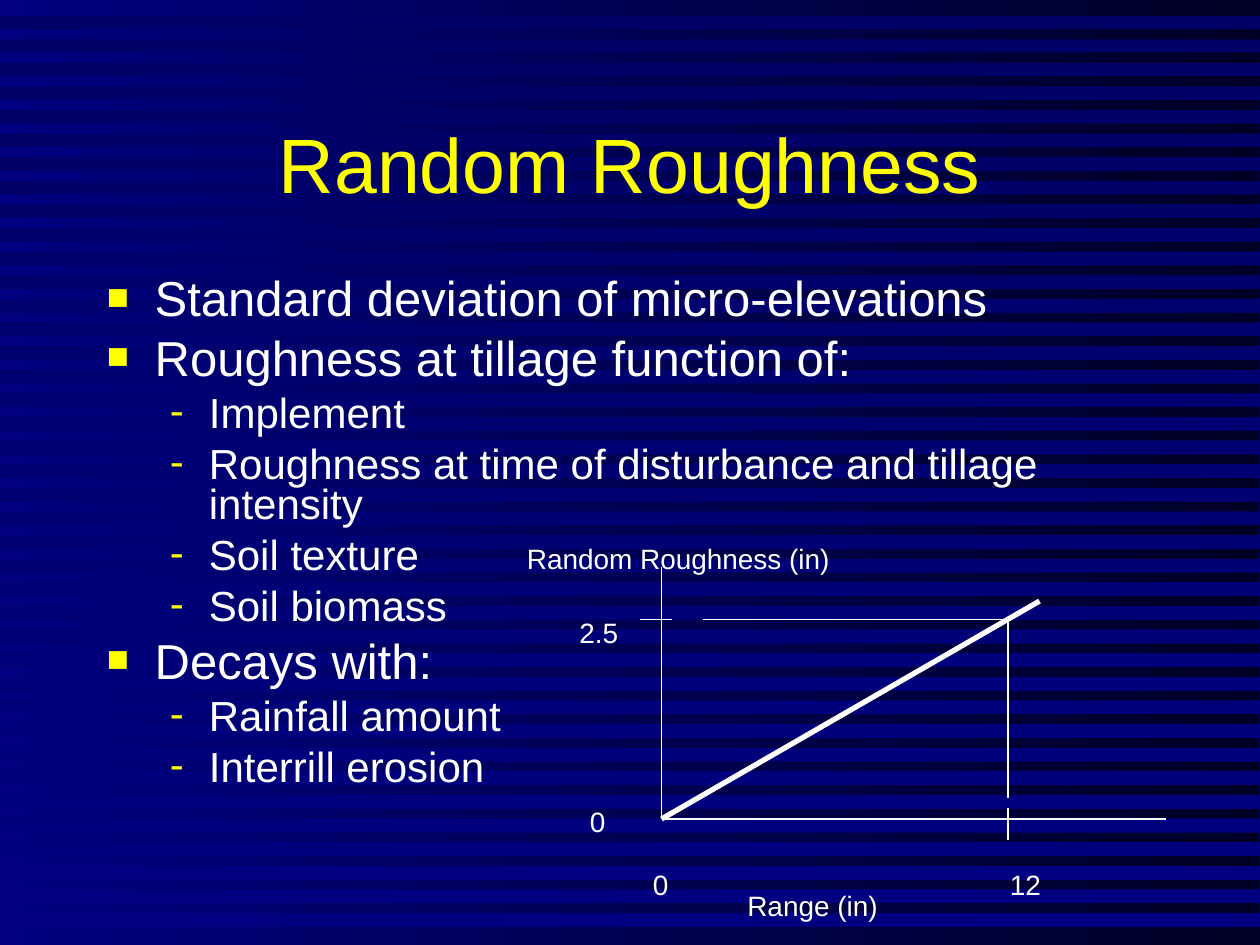
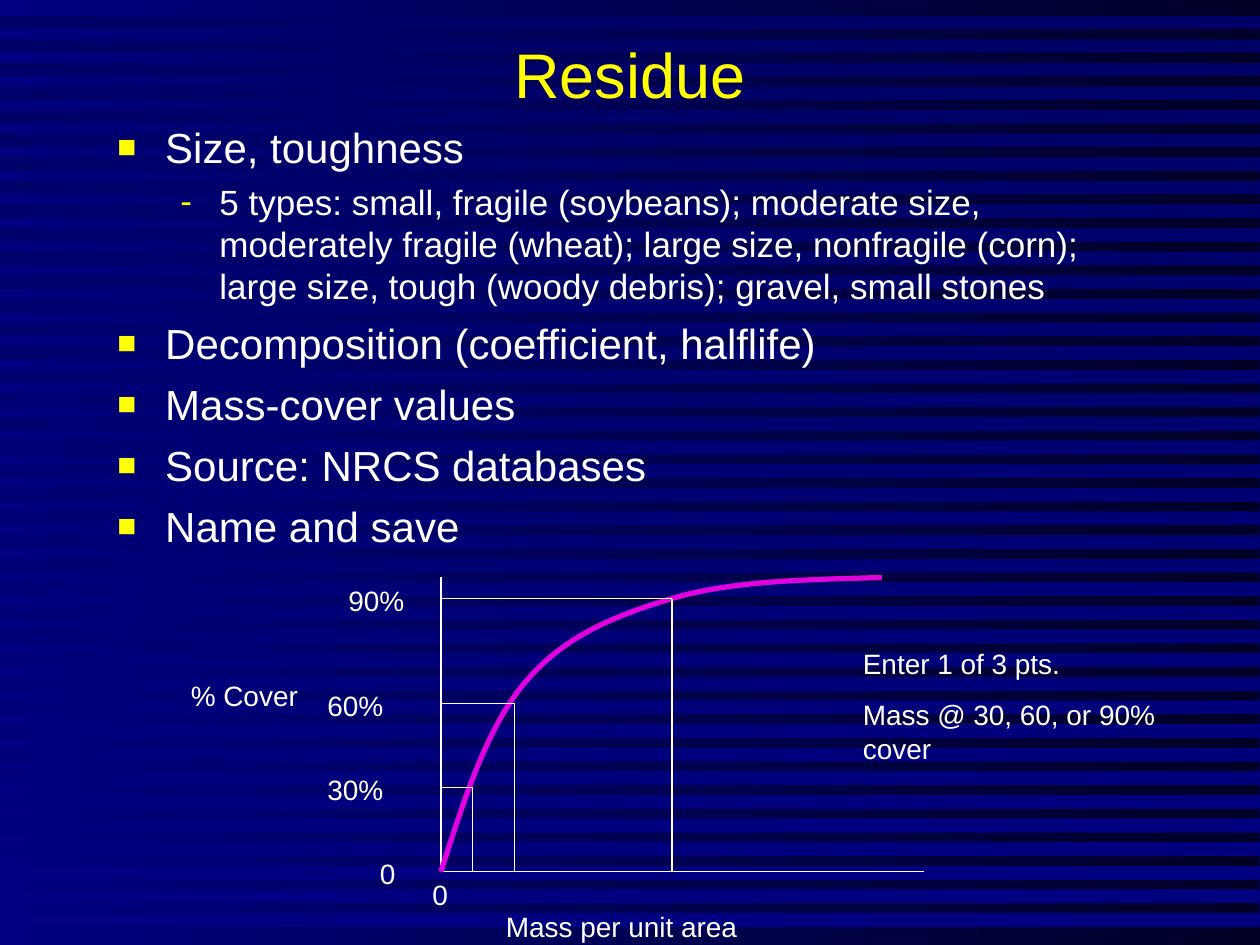
"""Build two slides on soil roughness and residue cover."""
from dataclasses import dataclass

from lxml import etree
from pptx import Presentation
from pptx import util as u
from pptx.dml.color import RGBColor
from pptx.enum import shapes, text
from pptx.oxml.ns import qn

COLUMNS, ROWS = 120, 90


@dataclass(frozen=True)
class Theme:
    """Colours, font and type sizes of the deck."""
    font: str = "Arial"
    ink: str = "FFFFFF"
    accent: str = "FFFF00"
    curve: str = "E000E0"
    night: str = "000026"
    dusk: str = "000066"
    blue: str = "000080"
    label: int = 16
    label_gap: int = 10
    thin: int = 1
    thick: int = 3
    bullets: tuple = (("■", 75, 0.38, -0.38), ("-", 100, 0.81, -0.31))


class Deck:
    """Draw styled elements on the current slide, in grid columns and rows."""

    def __init__(self, theme):
        self.theme = theme
        self.show = Presentation()
        self.show.slide_width, self.show.slide_height = u.Inches(10), u.Inches(7.5)
        self.slide = None

    def col(self, count):
        return round(self.show.slide_width * count / COLUMNS)

    def row(self, count):
        return round(self.show.slide_height * count / ROWS)

    def box(self, left, top, width, height):
        return self.col(left), self.row(top), self.col(width), self.row(height)

    def gradient(self, fill, start, end, angle):
        fill.gradient()
        fill.gradient_angle = angle
        for stop, color in zip(fill.gradient_stops, (start, end)):
            stop.color.rgb = RGBColor.from_string(color)

    def outline(self, points, close):
        spots = [(self.col(x), self.row(y)) for x, y in points]
        builder = self.slide.shapes.build_freeform(*spots[0])
        builder.add_line_segments(spots[1:], close=close)
        shape = builder.convert_to_shape()
        shape.shadow.inherit = False
        return shape

    def stroke(self, line, color, weight):
        line.color.rgb = RGBColor.from_string(color)
        line.width = u.Pt(weight)

    def new_slide(self):
        t = self.theme
        self.slide = self.show.slides.add_slide(self.show.slide_layouts[6])
        self.gradient(self.slide.background.fill, t.dusk, t.blue, 270)
        backdrop = self.slide.shapes.add_shape(
            shapes.MSO_SHAPE.RECTANGLE, *self.box(0, 0, COLUMNS, ROWS))
        backdrop.shadow.inherit = False
        backdrop.line.fill.background()
        self.gradient(backdrop.fill, t.night, t.blue, 180)
        tops = [1.5 + 2.25 * band for band in range(39)]
        stripes = self.outline(
            [spot for top in tops for spot in (
                (COLUMNS, top), (0, top), (0, top + 1.25), (COLUMNS, top + 1.25))],
            close=True)
        stripes.line.fill.background()
        self.gradient(stripes.fill, t.dusk, t.blue, 270)

    def frame(self, left, top, width, height):
        frame = self.slide.shapes.add_textbox(
            *self.box(left, top, width, height)).text_frame
        frame.word_wrap = True
        return frame

    def paragraph(self, frame, index, words, size, color):
        paragraph = frame.add_paragraph() if index else frame.paragraphs[0]
        run = paragraph.add_run()
        run.text = words
        run.font.name, run.font.size = self.theme.font, u.Pt(size)
        run.font.color.rgb = RGBColor.from_string(color)
        return paragraph

    def title(self, words, top, height, size):
        frame = self.frame(9, top, 102, height)
        frame.vertical_anchor = text.MSO_ANCHOR.MIDDLE
        heading = self.paragraph(frame, 0, words, size, self.theme.accent)
        heading.alignment = text.PP_ALIGN.CENTER

    def bullet(self, paragraph, level):
        mark, share, margin, indent = self.theme.bullets[level]
        props = paragraph._p.get_or_add_pPr()
        props.set("marL", str(u.Inches(margin)))
        props.set("indent", str(u.Inches(indent)))
        tint = etree.SubElement(props, qn("a:buClr"))
        etree.SubElement(tint, qn("a:srgbClr"), val=self.theme.accent)
        etree.SubElement(props, qn("a:buSzPct"), val=str(share * 1000))
        etree.SubElement(props, qn("a:buFont"), typeface=self.theme.font)
        etree.SubElement(props, qn("a:buChar"), char=mark)
        paragraph.level = level

    def body(self, items, left, top, sizes, gaps, spacing):
        frame = self.frame(left, top, 102, 54)
        for index, (level, words) in enumerate(items):
            point = self.paragraph(frame, index, words, sizes[level], self.theme.ink)
            self.bullet(point, level)
            point.line_spacing = spacing
            if index:
                point.space_before = u.Pt(gaps[level])

    def label(self, left, top, width, *lines):
        frame = self.frame(left, top, width, 4.4)
        frame.auto_size = text.MSO_AUTO_SIZE.SHAPE_TO_FIT_TEXT
        for index, words in enumerate(lines):
            line = self.paragraph(frame, index, words, self.theme.label, self.theme.ink)
            if index:
                line.space_before = u.Pt(self.theme.label_gap)

    def line(self, x1, y1, x2, y2, weight=None):
        line = self.slide.shapes.add_connector(
            shapes.MSO_CONNECTOR.STRAIGHT,
            self.col(x1), self.row(y1), self.col(x2), self.row(y2))
        self.stroke(line.line, self.theme.ink, weight or self.theme.thin)
        etree.SubElement(line._element.spPr, qn("a:effectLst"))

    def curve(self, points):
        shape = self.outline(points, close=False)
        shape.fill.background()
        self.stroke(shape.line, self.theme.curve, self.theme.thick)
        segments = list(shape._element.iter(qn("a:lnTo")))
        for first in range(0, len(segments), 3):
            bend = etree.Element(qn("a:cubicBezTo"))
            segments[first].addprevious(bend)
            for segment in segments[first:first + 3]:
                bend.append(segment[0])
                segment.getparent().remove(segment)


def roughness(deck):
    """Draw the random roughness slide."""
    deck.new_slide()
    deck.title("Random Roughness", 8, 15, 44)
    deck.body([
        (0, "Standard deviation of micro-elevations"),
        (0, "Roughness at tillage function of:"),
        (1, "Implement"),
        (1, "Roughness at time of disturbance and tillage intensity"),
        (1, "Soil texture"),
        (1, "Soil biomass"),
        (0, "Decays with:"),
        (1, "Rainfall amount"),
        (1, "Interrill erosion"),
    ], 9, 26, sizes=(28, 24), gaps=(7, 6), spacing=0.8)
    origin_x, origin_y, range_x, rough_y = 63, 78, 96, 59
    deck.line(origin_x, 54, origin_x, origin_y)
    deck.line(origin_x, origin_y, 111, origin_y)
    deck.line(origin_x, origin_y, 99, 57.25, deck.theme.thick)
    deck.line(range_x, 77, range_x, 80)
    deck.line(range_x, 76, range_x, rough_y)
    deck.line(range_x, rough_y, 67, rough_y)
    deck.line(64, rough_y, 61, rough_y)
    for left, top, width, words in (
            (61, 82, 6, "0"), (95, 82, 11, "12"), (55, 76, 6, "0"),
            (54, 58, 8, "2.5"), (70, 84, 18, "Range (in)"),
            (49, 51, 33, "Random Roughness (in)")):
        deck.label(left, top, width, words)


def residue(deck):
    """Draw the residue slide."""
    deck.new_slide()
    deck.title("Residue", 0, 14, 36)
    deck.body([
        (0, "Size, toughness"),
        (1, "5 types: small, fragile (soybeans); moderate size, moderately fragile "
            "(wheat); large size, nonfragile (corn); large size, tough (woody "
            "debris); gravel, small stones"),
        (0, "Decomposition (coefficient, halflife)"),
        (0, "Mass-cover values"),
        (0, "Source: NRCS databases"),
        (0, "Name and save"),
    ], 10, 11, sizes=(24, 20), gaps=(6, 5), spacing=1.0)
    origin_x, origin_y = 42, 83
    deck.line(origin_x, 55, origin_x, origin_y)
    deck.line(origin_x, origin_y, 88, origin_y)
    deck.curve([
        (origin_x, origin_y), (44.2, 76.2), (46.3, 69.4), (50, 65),
        (53.6, 60.7), (58.3, 58.7), (64, 57), (69.7, 55.3), (76.8, 55.2), (84, 55)])
    for mass, cover in ((64, 57), (49, 67), (45, 75)):
        deck.line(origin_x, cover, mass, cover)
        deck.line(mass, cover, mass, origin_y)
    for left, top, width, words in (
            (40, 83, 10, "0"), (35, 81, 7, "0"), (47, 86, 33, "Mass per unit area"),
            (30, 73, 8, "30%"), (30, 65, 8, "60%"), (32, 55, 9, "90%"),
            (17, 64, 13, "% Cover")):
        deck.label(left, top, width, words)
    deck.label(81, 61, 34, "Enter 1 of 3 pts.", "Mass @ 30, 60, or 90% cover")


def main():
    """Build and save the deck."""
    deck = Deck(Theme())
    roughness(deck)
    residue(deck)
    deck.show.save("out.pptx")


if __name__ == "__main__":
    main()
